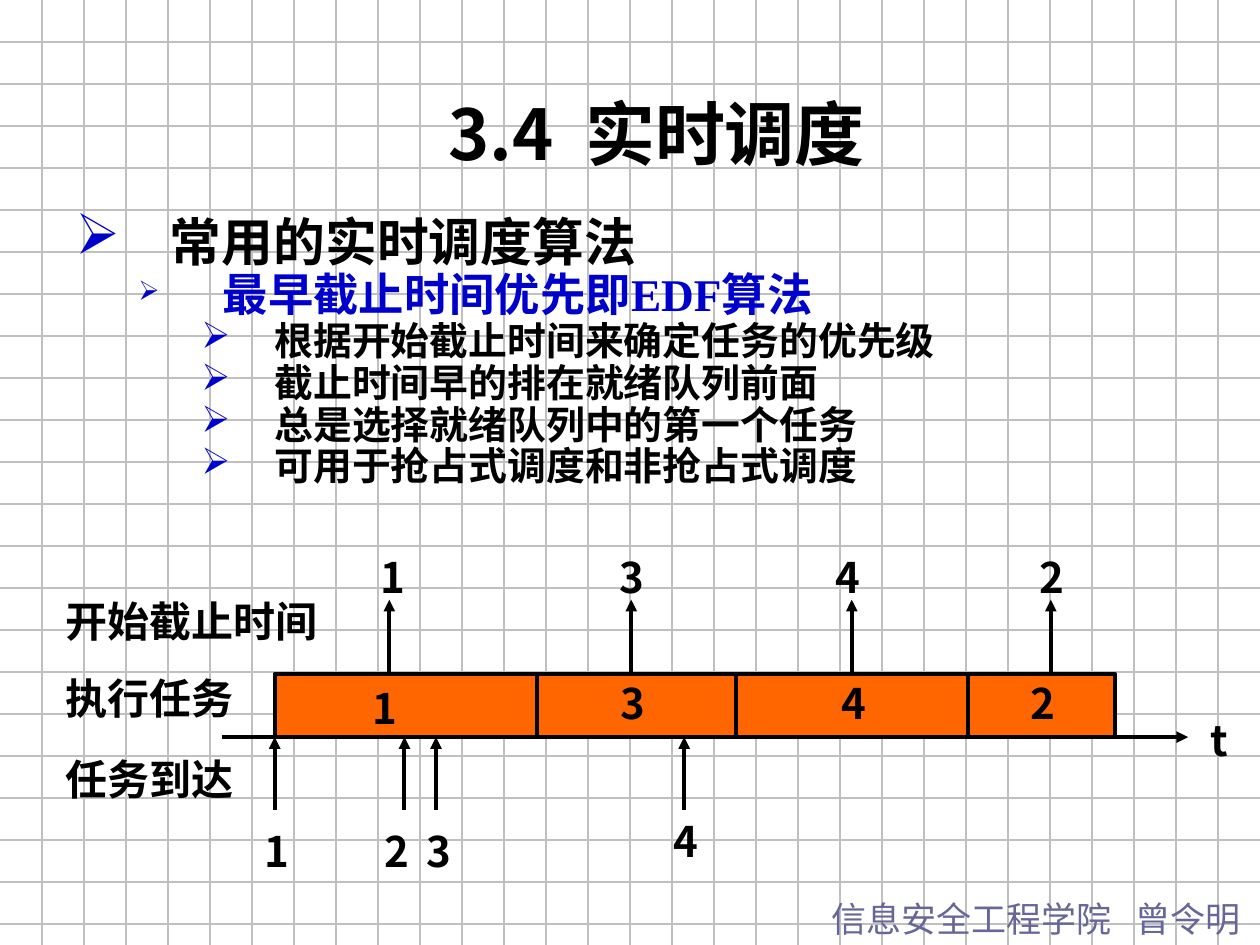
from lxml import etree
from pptx import Presentation
from pptx.dml.color import RGBColor
from pptx.enum.shapes import MSO_CONNECTOR, MSO_SHAPE
from pptx.enum.text import MSO_ANCHOR, MSO_AUTO_SIZE, PP_ALIGN
from pptx.oxml.ns import qn
from pptx.util import Inches, Pt

STRAIGHT = MSO_CONNECTOR.STRAIGHT
RECT = MSO_SHAPE.RECTANGLE
MIDDLE, TOP = MSO_ANCHOR.MIDDLE, MSO_ANCHOR.TOP
FIXED = MSO_AUTO_SIZE.NONE
CENTER = PP_ALIGN.CENTER

BLACK = RGBColor(0x00, 0x00, 0x00)
GRAY = RGBColor(0xC0, 0xC0, 0xC0)
BLUE = RGBColor(0x00, 0x00, 0xCC)
ORANGE = RGBColor(0xFF, 0x66, 0x00)
SLATE = RGBColor(0x66, 0x66, 0x99)
SANS, SANS_JP, SERIF = "Noto Sans CJK SC", "Noto Sans CJK JP", "Times New Roman"

prs = Presentation()
prs.slide_width, prs.slide_height = Inches(10), Inches(7.5)
slide = prs.slides.add_slide(prs.slide_layouts[5])
shapes = slide.shapes


def write(para, text, size, color=BLACK, bold=True, face=SANS, asian=SANS):
    """Add a run with separate Latin and East Asian typefaces."""
    run = para.add_run()
    run.text = text
    style = {"size": Pt(size), "bold": bold, "name": face}
    for key, value in style.items():
        setattr(run.font, key, value)
    run.font.color.rgb = color
    props = run._r.get_or_add_rPr()
    etree.SubElement(props, qn("a:ea"), typeface=asian)


def draw(x1, y1, x2, y2, color=BLACK, width=2.25, arrow=False):
    """Add a straight line, with an arrowhead at its end if asked."""
    ends = [Inches(v) for v in (x1, y1, x2, y2)]
    line = shapes.add_connector(STRAIGHT, *ends)
    line.line.color.rgb = color
    line.line.width = Pt(width)
    if arrow:
        etree.SubElement(line.line._get_or_add_ln(), qn("a:tailEnd"), type="triangle")
    etree.SubElement(line._element.spPr, qn("a:effectLst"))


# Background grid, three squares to the inch
for row in range(1, 23):
    draw(0, row / 3, 10, row / 3, GRAY, 0.75)
for col in range(1, 30):
    draw(col / 3, 0, col / 3, 7.5, GRAY, 0.75)

# Footer
foot = shapes.add_textbox(Inches(6.5), Inches(7.07), Inches(3.5), Inches(0.44))
foot.text_frame.word_wrap = True
foot.text_frame.vertical_anchor = MIDDLE
write(foot.text_frame.paragraphs[0], "信息安全工程学院   曾令明", 20, SLATE, False, SANS_JP, SANS_JP)

# Title, brought in front of the grid
title = shapes.title
place = {"left": 1.42, "top": 0.67, "width": 7.58, "height": 0.77}
for key, value in place.items():
    setattr(title, key, Inches(value))
frame = title.text_frame
frame.auto_size, frame.vertical_anchor = FIXED, MIDDLE
frame.paragraphs[0].alignment = CENTER
write(frame.paragraphs[0], "3.4  实时调度", 40, face=SANS_JP, asian=SANS_JP)
title.element.getparent().append(title.element)

# Bulleted outline: margin, hanging indent, bullet percent, size, colour, face
LEVELS = [
    (0.75, 0.75, 110, 29.6, BLACK, SANS),
    (1.17, 0.67, 60, 25.9, BLUE, SERIF),
    (1.58, 0.58, 95, 22.2, BLACK, SERIF),
]
OUTLINE = [
    (0, "常用的实时调度算法"),
    (1, "最早截止时间优先即EDF算法"),
    (2, "根据开始截止时间来确定任务的优先级"),
    (2, "截止时间早的排在就绪队列前面"),
    (2, "总是选择就绪队列中的第一个任务"),
    (2, "可用于抢占式调度和非抢占式调度"),
]
body = shapes.add_textbox(Inches(0.5), Inches(1.67), Inches(9.33), Inches(2.67))
frame = body.text_frame
frame.word_wrap, frame.vertical_anchor = True, TOP
for num, (level, text) in enumerate(OUTLINE):
    margin, hang, percent, size, color, face = LEVELS[level]
    para = frame.add_paragraph() if num else frame.paragraphs[0]
    para.level = level
    props = para._p.get_or_add_pPr()
    props.set("marL", str(Inches(margin)))
    props.set("indent", str(-Inches(hang)))
    tint = etree.SubElement(props, qn("a:buClr"))
    etree.SubElement(tint, qn("a:srgbClr"), val=str(BLUE))
    etree.SubElement(props, qn("a:buSzPct"), val=str(percent * 1000))
    etree.SubElement(props, qn("a:buFont"), typeface="OpenSymbol")
    etree.SubElement(props, qn("a:buChar"), char="➢")
    para.line_spacing = 0.9
    para.space_before = Pt(0)
    write(para, text, size, color, face=face)

# Timeline bar, split into the tasks that run
BAR, AXIS = 5.35, 5.85
bar = shapes.add_shape(RECT, Inches(2.18), Inches(BAR), Inches(6.67), Inches(AXIS - BAR))
bar.shadow.inherit = False
bar.fill.solid()
bar.fill.fore_color.rgb = ORANGE
bar.line.color.rgb = BLACK
bar.line.width = Pt(2.25)
for x in (4.26, 5.84, 7.68):
    draw(x, BAR, x, AXIS)

# Deadlines point up from the bar, arrivals point up to the axis
for x in (3.09, 5.01, 6.76, 8.34):
    draw(x, BAR, x, 4.76, arrow=True)
for x in (2.18, 3.21, 3.46, 5.43):
    draw(x, 6.43, x, AXIS, arrow=True)
draw(8.84, AXIS, 9.43, AXIS, arrow=True)
draw(1.76, AXIS, 2.43, AXIS)

# Labels: text, left, top, width
LABELS = [
    ("1", 2.86, 5.37, 0.39), ("3", 4.83, 5.33, 0.39),
    ("4", 6.58, 5.33, 0.39), ("2", 8.08, 5.33, 0.39),
    ("1", 2, 6.5, 0.39), ("2", 2.95, 6.5, 0.39),
    ("3", 3.29, 6.5, 0.39), ("4", 5.25, 6.42, 0.39),
    ("1", 2.92, 4.33, 0.39), ("3", 4.82, 4.33, 0.39),
    ("4", 6.53, 4.33, 0.39), ("2", 8.15, 4.33, 0.39),
    ("开始截止时间", 0.42, 4.68, 2.2), ("执行任务", 0.42, 5.29, 1.53),
    ("任务到达", 0.42, 5.93, 1.53), ("t", 9.51, 5.62, 0.34),
]
for text, x, y, width in LABELS:
    label = shapes.add_textbox(Inches(x), Inches(y), Inches(width), Inches(0.5))
    label.text_frame.word_wrap = False
    label.text_frame.vertical_anchor = MIDDLE
    write(label.text_frame.paragraphs[0], text, 24)

prs.save("out.pptx")
